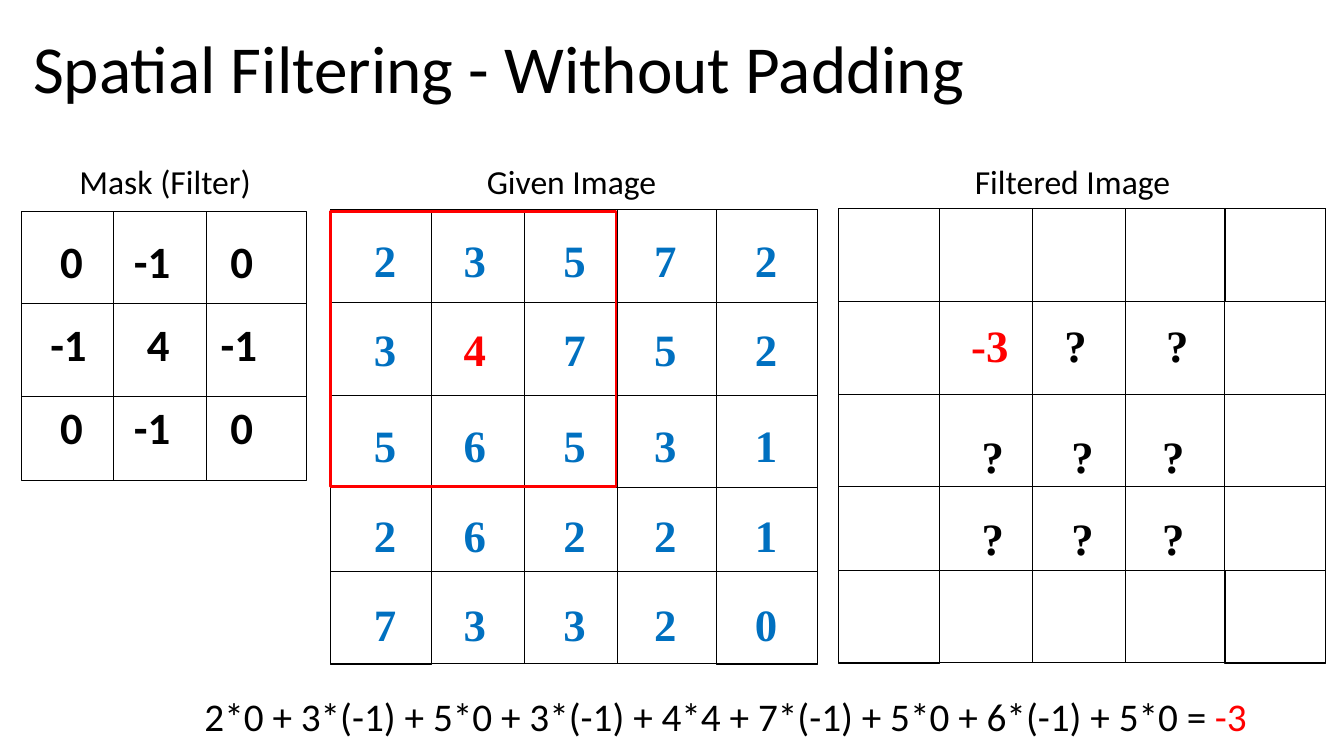
from dataclasses import dataclass

from lxml import etree
from pptx import Presentation, util as u
from pptx.dml.color import RGBColor
from pptx.enum import shapes
from pptx.oxml.ns import qn

PX = 9144  # 100 px to the inch
BLACK, RED, BLUE = "000000", "FF0000", "0070C0"
SANS, SERIF = "Calibri", "Times New Roman"


@dataclass
class Line:
    """A paragraph: its words, each reached by a tab at the given stop."""
    words: tuple[str, ...]
    stops: tuple[int, ...] = ()
    gap: int = 0
    hot: int | None = None  # index of the word in red


@dataclass
class Block:
    left: int
    top: int
    width: int
    height: int
    size: int
    lines: tuple[Line, ...]
    font: str = SANS
    color: str = BLACK
    bold: bool = False
    align: str = "ctr"
    inset: int = 5


@dataclass
class Box:
    left: int
    top: int
    width: int
    height: int


OUTER, INNER = (21, 113), (20, 107)
MASK = (Box(0, 0, 283, 267), Box(92, 0, 92, 267), Box(0, 91, 283, 92))
FIELD = (
    Box(100, 92, 283, 267), Box(192, 0, 92, 450),
    Box(0, 184, 483, 92), Box(0, 0, 483, 450),
    *(Box(x, y, 100, 92) for x in (0, 383) for y in (0, 359)),
)
GRIDS = ((21, 210, MASK), (328, 208, FIELD), (832, 207, FIELD))

ENDS, CROSS = (21, 101, 190), (18, 107, 187)
FIVE = (44, 133, 232, 322, 422)
ASK = ("?", "?", "?")
BLOCKS = (
    Block(23, 21, 1136, 91, 48,
          (Line(("Spatial Filtering - Without Padding",)),)),
    Block(40, 227, 262, 230, 32, (
        Line(("0", "-1", "0"), ENDS),
        Line(("-1", "4", "-1"), CROSS, 21),
        Line(("0", "-1", "0"), ENDS, 21),
    ), bold=True),
    Block(328, 226, 458, 421, 32, (
        Line(tuple("23572"), FIVE),
        Line(tuple("34752"), FIVE, 25, hot=1),
        Line(tuple("56531"), FIVE, 30),
        Line(tuple("26221"), FIVE, 26),
        Line(tuple("73320"), FIVE, 25),
    ), SERIF, BLUE, True),
    Block(832, 224, 416, 347, 32, (
        Line(("-3", "?", "?"), (140, 225, 326), hot=0),
        Line(ASK, (143, 232, 322), 41),
        Line(ASK, (143, 232, 322), 20),
    ), SERIF, BLACK, True, inset=91),
    Block(193, 682, 1070, 57, 28, (
        Line(("2*0 + 3*(-1) + 5*0 + 3*(-1) + 4*4 + 7*(-1)"
              " + 5*0 + 6*(-1) + 5*0 = ", "-3"), hot=1),
    )),
    Block(68, 155, 1197, 50, 24, (
        Line(("Mask (Filter)", "Given Image", "Filtered Image"),
             (1, 405, 889)),
    ), align="l"),
)


def px(*sizes: int) -> list[u.Emu]:
    return [u.Emu(size * PX) for size in sizes]


def rgb(color: str) -> RGBColor:
    return RGBColor.from_string(color)


def add_stops(para, stops: tuple[int, ...], align: str) -> None:
    tabs = etree.SubElement(para._p.get_or_add_pPr(), qn("a:tabLst"))
    for stop in px(*stops):
        etree.SubElement(tabs, qn("a:tab"), pos=str(stop), algn=align)


def fill_line(para, line: Line, block: Block) -> None:
    if line.gap:
        para.space_before = u.Pt(line.gap)
    if line.stops:
        add_stops(para, line.stops, block.align)
    font = para.font
    font.name, font.size, font.bold = block.font, u.Pt(block.size), block.bold
    font.color.rgb = rgb(block.color)
    lead = "\t" if line.stops else ""
    for spot, word in enumerate(line.words):
        run = para.add_run()
        run.text = lead + word
        if spot == line.hot:
            run.font.color.rgb = rgb(RED)


def add_block(slide, block: Block) -> None:
    area = px(block.left, block.top, block.width, block.height)
    frame = slide.shapes.add_textbox(*area).text_frame
    frame.word_wrap = True
    frame.margin_top, = px(block.inset)
    for spot, line in enumerate(block.lines):
        para = frame.add_paragraph() if spot else frame.paragraphs[0]
        fill_line(para, line, block)


def add_frame(slide, left: int, top: int, box: Box,
              color: str = BLACK, weight: float = 0.75) -> None:
    area = px(left + box.left, top + box.top, box.width, box.height)
    frame = slide.shapes.add_shape(shapes.MSO_SHAPE.RECTANGLE, *area)
    frame.shadow.inherit = False
    frame.fill.background()
    frame.line.color.rgb = rgb(color)
    frame.line.width = u.Pt(weight)


def main() -> None:
    deck = Presentation()
    deck.slide_width, deck.slide_height = px(1333, 750)
    slide = deck.slides.add_slide(deck.slide_layouts[6])
    for block in BLOCKS:
        add_block(slide, block)
    for left, top, boxes in GRIDS:
        for box in boxes:
            add_frame(slide, left, top, box)
    add_frame(slide, 328, 210, Box(0, 0, 283, 273), RED, 2)
    deck.save("out.pptx")


if __name__ == "__main__":
    main()
